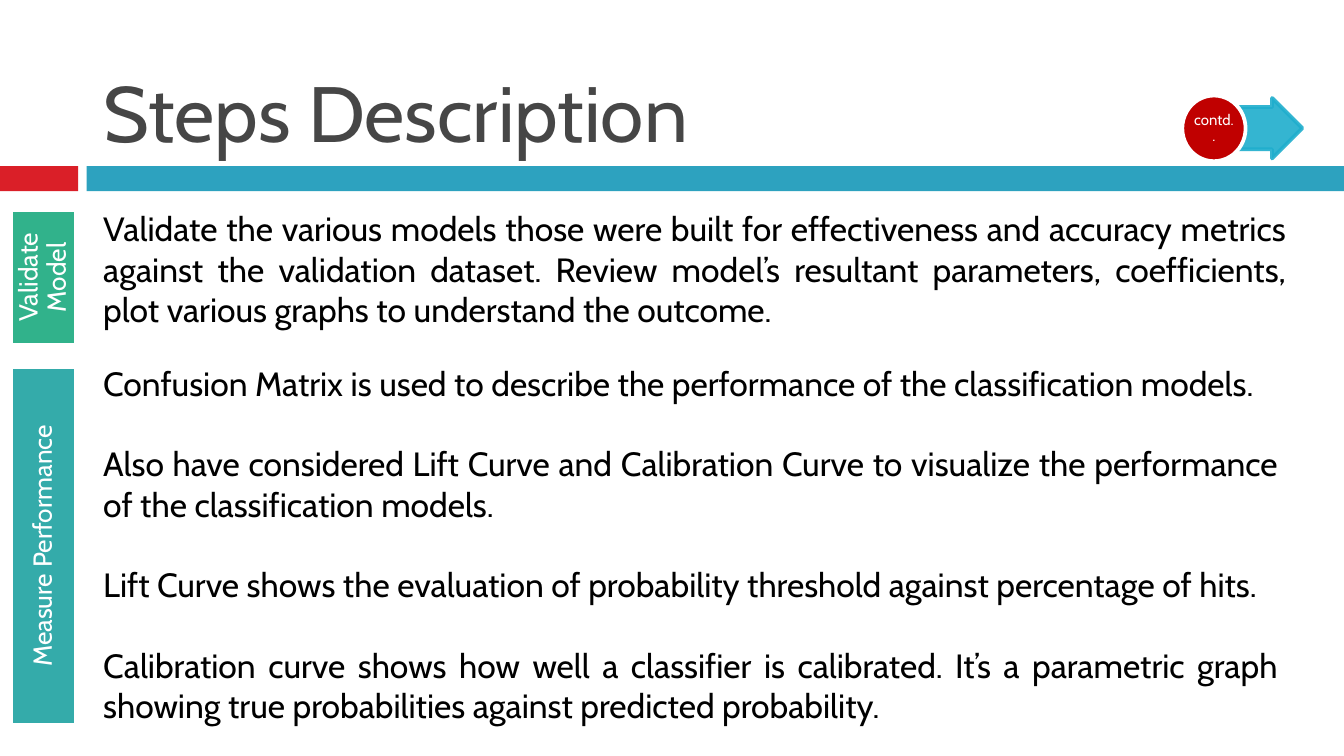
"""Build the slide describing the model validation and performance steps."""
from dataclasses import dataclass, field
from typing import Any

from lxml import etree
from pptx import Presentation
from pptx.dml.color import RGBColor
from pptx.enum import shapes, text
from pptx.oxml import ns
from pptx.util import Pt

WHITE = RGBColor(0xFF, 0xFF, 0xFF)
BLACK = RGBColor(0x00, 0x00, 0x00)
GREY = RGBColor(0x46, 0x46, 0x46)
RED = RGBColor(0xDA, 0x1F, 0x28)
DARK_RED = RGBColor(0xC0, 0x00, 0x00)
BLUE = RGBColor(0x2D, 0xA2, 0xBF)
ARROW_BLUE = RGBColor(0x1F, 0xAE, 0xCD)
GREEN = RGBColor(0x31, 0xB2, 0x8B)
TEAL = RGBColor(0x34, 0xAB, 0xAA)

FONT = "Cabin"
LEFT = 48.24
LABEL_CENTRE = 23.2
LABEL_THICKNESS = 34.56
PARAGRAPH_GAP = 21.6

FRAME = {"word_wrap": True, "auto_size": text.MSO_AUTO_SIZE.NONE}
MIDDLE = {**FRAME, "vertical_anchor": text.MSO_ANCHOR.MIDDLE}
CENTRED = {"alignment": text.PP_ALIGN.CENTER, "line_spacing": 0.9}
JUSTIFIED = {"alignment": text.PP_ALIGN.JUSTIFY}


@dataclass
class Figure:
    kind: shapes.MSO_SHAPE
    bounds: tuple[float, float, float, float]
    fill: RGBColor
    line: RGBColor | None = None
    opacity: int = 100
    adjustments: list[float] = field(default_factory=list)


@dataclass
class Step:
    label: str
    colour: RGBColor
    centre: float
    length: float
    bounds: tuple[float, float, float, float]
    paragraphs: list[str]


BAND = [
    Figure(shapes.MSO_SHAPE.RECTANGLE, (0, 89, 41.9, 13.5), RED),
    Figure(shapes.MSO_SHAPE.RECTANGLE, (46.5, 89, 673.5, 13.5), BLUE),
]
ARROW = Figure(shapes.MSO_SHAPE.RIGHT_ARROW, (650.2, 52.5, 47.5, 32.4),
               ARROW_BLUE, ARROW_BLUE, 90, [0.7, 0.5])
BADGE = Figure(shapes.MSO_SHAPE.OVAL, (633.4, 51.2, 33.9, 35.2), DARK_RED, WHITE)

STEPS = [
    Step("Validate Model", GREEN, 148.6, 72, (LEFT, 108, 648, 72.7), [
        "Validate the various models those were built for effectiveness and "
        "accuracy metrics against the validation dataset. Review model’s "
        "resultant parameters, coefficients, plot various graphs to "
        "understand the outcome.",
    ]),
    Step("Measure Performance", TEAL, 292.4, 192, (LEFT, 190.8, 643.7, 203.8), [
        "Confusion Matrix is used to describe the performance of the "
        "classification models.",
        "Also have considered Lift Curve and Calibration Curve to visualize "
        "the performance of the classification models.",
        "Lift Curve shows the evaluation of probability threshold against "
        "percentage of hits.",
        "Calibration curve shows how well a classifier is calibrated. It’s a "
        "parametric graph showing true probabilities against predicted "
        "probability.",
    ]),
]


def apply(target: Any, values: dict[str, Any]) -> None:
    """Set every named attribute on the target."""
    for name, value in values.items():
        setattr(target, name, value)


def margins(size: float) -> dict[str, Any]:
    """Return equal margins for all four sides of a text frame."""
    return {f"margin_{side}": Pt(size) for side in ("left", "right", "top", "bottom")}


def write(box: Any, paragraphs: list[str], size: float, colour: RGBColor,
          frame_format: dict[str, Any], para_format: dict[str, Any]) -> None:
    """Fill a shape with formatted paragraphs set one gap apart."""
    frame = box.text_frame
    apply(frame, frame_format)
    for index, words in enumerate(paragraphs):
        para = frame.add_paragraph() if index else frame.paragraphs[0]
        apply(para, para_format)
        if index:
            para.space_before = Pt(PARAGRAPH_GAP)
        span = para.add_run()
        span.text = words
        apply(span.font, {"name": FONT, "size": Pt(size)})
        span.font.color.rgb = colour


def draw(page: Any, figure: Figure) -> Any:
    """Add one preset shape with its fill, outline and opacity."""
    shape = page.shapes.add_shape(figure.kind, *map(Pt, figure.bounds))
    shape.shadow.inherit = False
    for index, value in enumerate(figure.adjustments):
        shape.adjustments[index] = value
    shape.fill.solid()
    shape.fill.fore_color.rgb = figure.fill
    if figure.line is None:
        shape.line.fill.background()
    else:
        shape.line.color.rgb = figure.line
        shape.line.width = Pt(2)
    if figure.opacity < 100:
        for colour in shape.element.spPr.iter(ns.qn("a:srgbClr")):
            alpha = etree.SubElement(colour, ns.qn("a:alpha"))
            alpha.set("val", str(figure.opacity * 1000))
    return shape


def draw_step(page: Any, step: Step) -> None:
    """Add a step's upright label and its description."""
    bounds = (LABEL_CENTRE - step.length / 2, step.centre - LABEL_THICKNESS / 2,
              step.length, LABEL_THICKNESS)
    label = draw(page, Figure(shapes.MSO_SHAPE.RECTANGLE, bounds, step.colour, WHITE))
    label.rotation = 270
    write(label, [step.label], 14, WHITE, {**MIDDLE, **margins(8)}, CENTRED)
    box = page.shapes.add_textbox(*map(Pt, step.bounds))
    write(box, step.paragraphs, 18, BLACK, FRAME, JUSTIFIED)


def build() -> None:
    """Assemble and save the deck."""
    deck = Presentation()
    apply(deck, {"slide_width": Pt(720), "slide_height": Pt(405)})
    page = deck.slides.add_slide(deck.slide_layouts.get_by_name("Title Only"))
    for figure in BAND:
        draw(page, figure)
    title = page.shapes.title
    apply(title, {"left": Pt(LEFT), "top": Pt(9.4), "width": Pt(642), "height": Pt(79.2)})
    write(title, ["Steps Description"], 42, GREY,
          {**FRAME, "vertical_anchor": text.MSO_ANCHOR.BOTTOM},
          {"alignment": text.PP_ALIGN.LEFT})
    for step in STEPS:
        draw_step(page, step)
    draw(page, ARROW)
    badge = draw(page, BADGE)
    write(badge, ["contd.."], 8, WHITE, {**MIDDLE, **margins(0.7)}, CENTRED)
    deck.save("out.pptx")


build()
